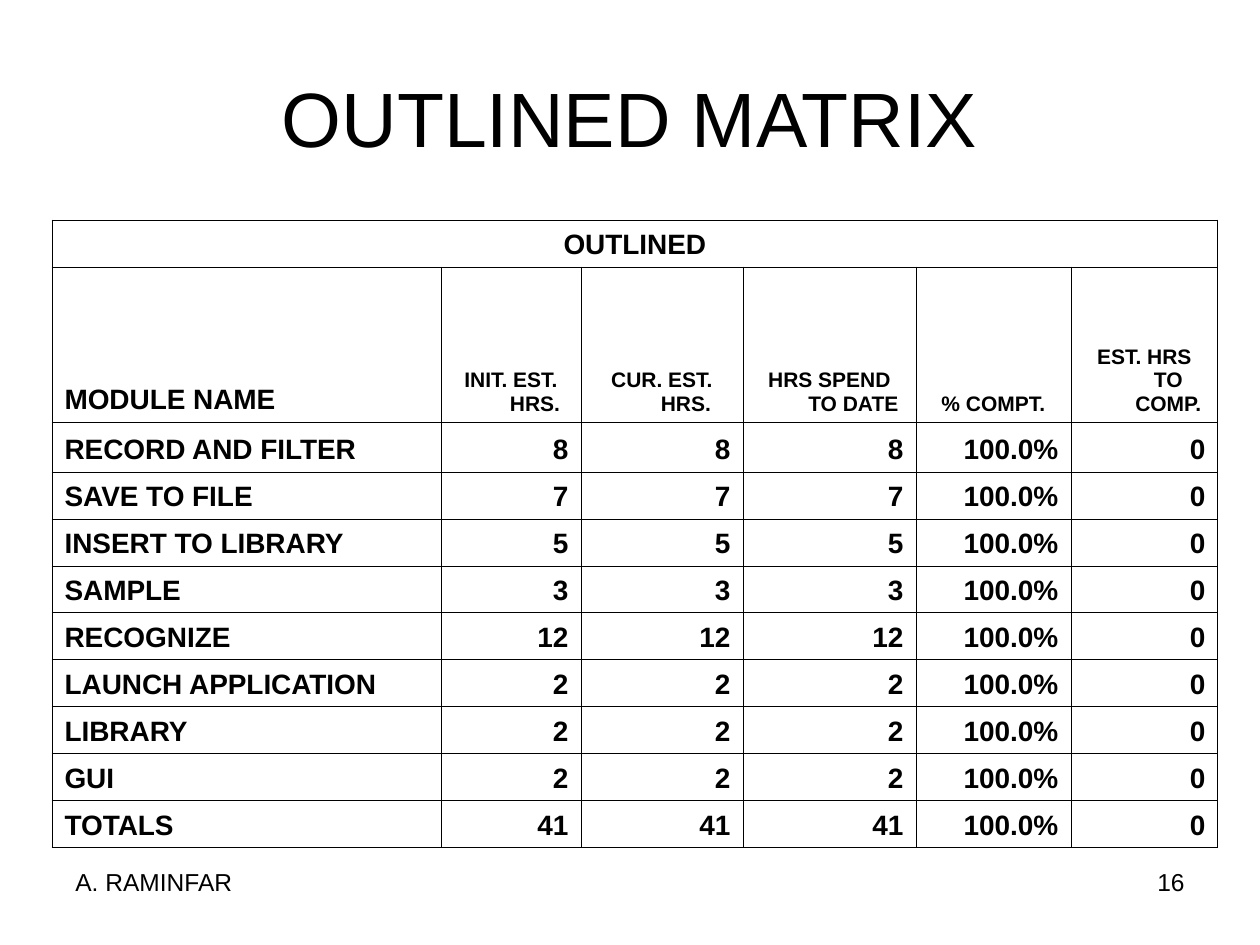
import pptx
import pptx.util
import pptx.dml.color
import pptx.enum.text
import pptx.oxml.ns
import lxml.etree

SCALE = 914400 / 126
COLORS = {"text": "000000", "line": "000000"}
FONT = "Arial"
ALIGN = pptx.enum.text.PP_ALIGN
ANCHOR = pptx.enum.text.MSO_ANCHOR

COLS = [389, 140, 162, 173, 155, 147]
ROWS = [47, 155, 50] + [47] * 8
HEADS = ["MODULE NAME", "INIT. EST. HRS.", "CUR. EST. HRS.",
         "HRS SPEND TO DATE", "% COMPT.", "EST. HRS TO COMP."]
HOURS = [("RECORD AND FILTER", 8), ("SAVE TO FILE", 7),
         ("INSERT TO LIBRARY", 5), ("SAMPLE", 3), ("RECOGNIZE", 12),
         ("LAUNCH APPLICATION", 2), ("LIBRARY", 2), ("GUI", 2)]


def px(n):
    return pptx.util.Emu(round(n * SCALE))


def write(para, text, size, align, bold=False):
    para.text = text
    para.alignment = align
    font = para.font
    font.name = FONT
    font.size = pptx.util.Pt(size)
    font.bold = bold
    font.color.rgb = pptx.dml.color.RGBColor.from_string(COLORS["text"])


def add_text(slide, box, text, size, align, anchor=ANCHOR.TOP):
    frame = slide.shapes.add_textbox(*map(px, box)).text_frame
    frame.word_wrap = True
    frame.vertical_anchor = anchor
    write(frame.paragraphs[0], text, size, align)


def add_border(cell):
    props = cell._tc.get_or_add_tcPr()
    name = pptx.oxml.ns.qn
    for side in ("a:lnL", "a:lnR", "a:lnT", "a:lnB"):
        line = lxml.etree.SubElement(props, name(side), w="5715")
        fill = lxml.etree.SubElement(line, name("a:solidFill"))
        lxml.etree.SubElement(fill, name("a:srgbClr"), val=COLORS["line"])


def fill_cell(cell, text, size, align):
    add_border(cell)
    cell.fill.background()
    cell.vertical_anchor = ANCHOR.BOTTOM
    para = cell.text_frame.paragraphs[0]
    write(para, text, size, align, bold=True)
    props = para._p.get_or_add_pPr()
    props.set("marL", str(px(48)))
    props.set("indent", str(px(-48)))


def add_matrix(slide, left, top):
    total = ("TOTALS", sum(hours for _, hours in HOURS))
    data = [["OUTLINED"] + [""] * 5, HEADS]
    data += [[name] + [str(hours)] * 3 + ["100.0%", "0"]
             for name, hours in HOURS + [total]]
    table = slide.shapes.add_table(
        len(ROWS), len(COLS), px(left), px(top),
        px(sum(COLS)), px(sum(ROWS))).table
    table.first_row = False
    table.horz_banding = False
    for col, width in zip(table.columns, COLS):
        col.width = px(width)
    for row, height in zip(table.rows, ROWS):
        row.height = px(height)
    for r, row in enumerate(data):
        for c, text in enumerate(row):
            if r == 0:
                align = ALIGN.CENTER
            elif c == 0:
                align = ALIGN.LEFT
            else:
                align = ALIGN.CENTER if r == 1 else ALIGN.RIGHT
            size = 12 if r == 1 and c > 0 else 16
            fill_cell(table.cell(r, c), text, size, align)
    table.cell(0, 0).merge(table.cell(0, len(COLS) - 1))


def main():
    deck = pptx.Presentation()
    deck.slide_width = px(1260)
    deck.slide_height = px(945)
    slide = deck.slides.add_slide(deck.slide_layouts[6])
    add_text(slide, (63, 38, 1134, 158), "OUTLINED MATRIX", 44,
             ALIGN.CENTER, ANCHOR.MIDDLE)
    add_matrix(slide, 52, 220)
    add_text(slide, (903, 861, 294, 66), "16", 14, ALIGN.RIGHT)
    add_text(slide, (63, 861, 294, 66), "A. RAMINFAR", 14, ALIGN.LEFT)
    deck.save("out.pptx")


if __name__ == "__main__":
    main()
